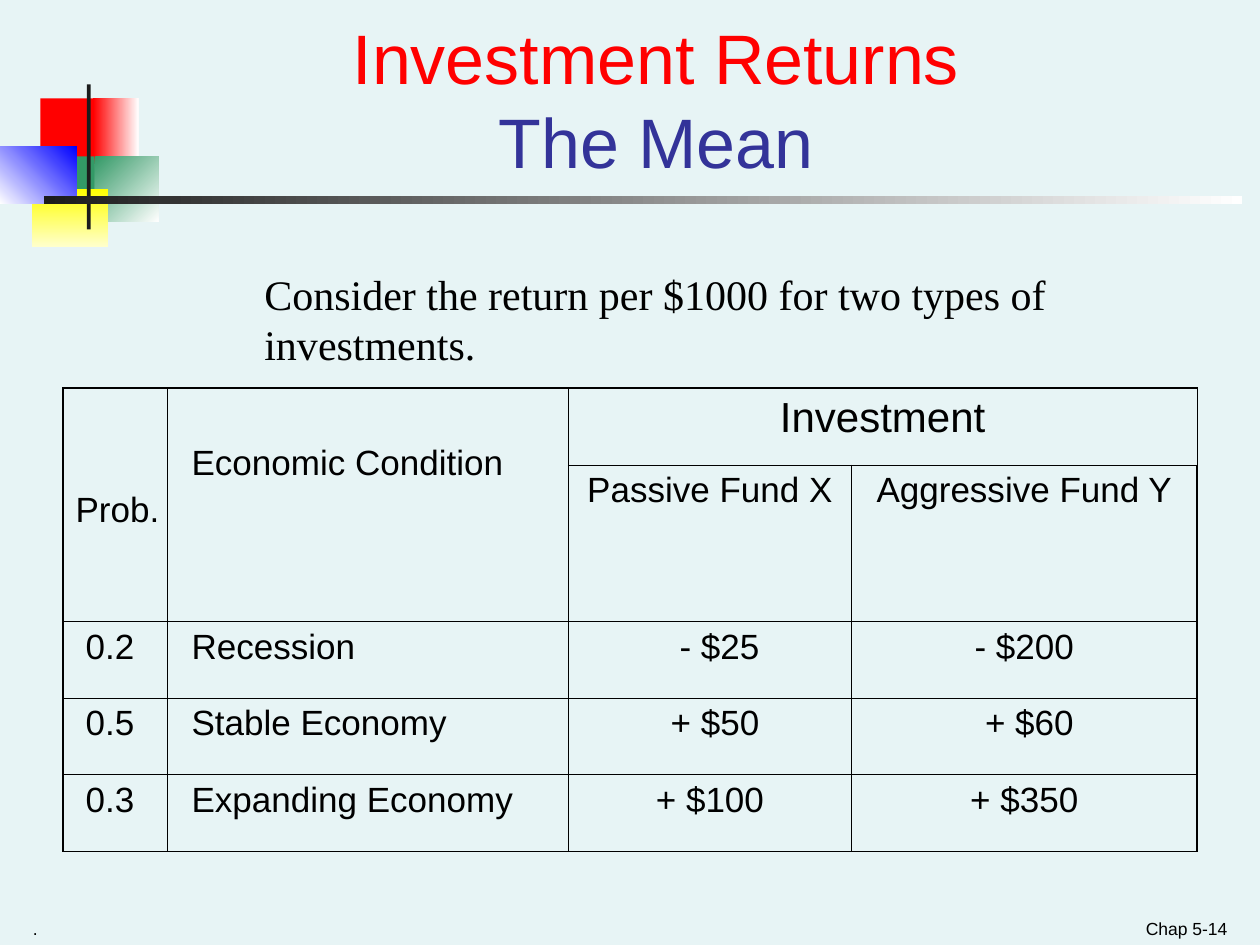
from dataclasses import dataclass
from typing import Optional

import pptx
import pptx.dml.color
import pptx.enum.shapes
import pptx.enum.text
import pptx.oxml
import pptx.oxml.ns
import pptx.util
from lxml import etree

Inches = pptx.util.Inches
Pt = pptx.util.Pt
Align = pptx.enum.text.PP_ALIGN
Anchor = pptx.enum.text.MSO_ANCHOR

COLORS = {
    "background": "E7F4F5",
    "text": "000000",
    "red": "FF0000",
    "green": "339966",
    "yellow": "FFFF00",
    "cream": "FFFFCC",
    "blue": "0000FF",
    "white": "FFFFFF",
    "charcoal": "1C1C1C",
    "indigo": "333399",
}
INNER_BORDER, OUTER_BORDER = 0.45, 1.08
CONDITION_INDENT = 0.92
PROBABILITY_INDENT = 0.08


@dataclass
class Block:
    left: float
    top: float
    width: float
    height: float
    start: str
    end: Optional[str] = None
    angle: int = 0


@dataclass
class Line:
    text: str
    size: float
    color: str = "text"
    font: str = "Arial"


@dataclass
class Outcome:
    probability: str
    condition: str
    passive: str
    aggressive: str
    passive_shift: float = 0
    aggressive_shift: float = 0


BLOCKS = [
    Block(0.32, 0.78, 0.48, 0.52, "red"),
    Block(0.74, 0.78, 0.36, 0.52, "red", "white"),
    Block(0.75, 1.24, 0.51, 0.52, "green", "white", 45),
    Block(0.43, 1.24, 0.32, 0.52, "green"),
    Block(0.25, 1.5, 0.61, 0.46, "yellow", "cream", 90),
    Block(0, 1.16, 0.61, 0.46, "white", "blue", 315),
    Block(0.69, 0.67, 0.03, 1.15, "charcoal"),
    Block(0.35, 1.56, 9.51, 0.06, "charcoal", "white"),
]
OUTCOMES = [
    Outcome("0.2", "Recession", "- $25", "- $200", 0.15),
    Outcome("0.5", "Stable Economy", "+ $50", "+ $60", 0.08, 0.08),
    Outcome("0.3", "Expanding Economy", "+ $100", "+ $350"),
]


def rgb(name: str) -> pptx.dml.color.RGBColor:
    return pptx.dml.color.RGBColor.from_string(COLORS[name])


def draw_block(slide, block: Block) -> None:
    shape = slide.shapes.add_shape(
        pptx.enum.shapes.MSO_SHAPE.RECTANGLE,
        Inches(block.left), Inches(block.top), Inches(block.width), Inches(block.height))
    shape.shadow.inherit = False
    shape.line.fill.background()
    if block.end is None:
        shape.fill.solid()
        shape.fill.fore_color.rgb = rgb(block.start)
        return
    shape.fill.gradient()
    shape.fill.gradient_angle = (360 - block.angle) % 360
    for stop, color in zip(shape.fill.gradient_stops, (block.start, block.end)):
        stop.color.rgb = rgb(color)


def style_run(run, line: Line) -> None:
    run.font.name = line.font
    run.font.size = Pt(line.size)
    run.font.color.rgb = rgb(line.color)


def draw_text(slide, left: float, top: float, width: float, height: float,
              lines: list[Line], align=Align.LEFT, anchor=Anchor.BOTTOM,
              inset: float = 0.09) -> None:
    frame = slide.shapes.add_textbox(
        Inches(left), Inches(top), Inches(width), Inches(height)).text_frame
    frame.word_wrap = True
    frame.vertical_anchor = anchor
    frame.margin_left = frame.margin_right = Inches(inset)
    frame.margin_top = frame.margin_bottom = Inches(0.05)
    paragraph = frame.paragraphs[0]
    paragraph.text = "\v".join(line.text for line in lines)
    paragraph.alignment = align
    for run, line in zip(paragraph.runs, lines):
        style_run(run, line)


def set_borders(cell, widths: dict[str, float]) -> None:
    properties = cell._tc.get_or_add_tcPr()
    for side, width in widths.items():
        border = etree.SubElement(
            properties, pptx.oxml.ns.qn(f"a:ln{side}"), w=str(Pt(width)))
        fill = etree.SubElement(border, pptx.oxml.ns.qn("a:solidFill"))
        etree.SubElement(fill, pptx.oxml.ns.qn("a:srgbClr"), val=COLORS["text"])


def set_tabs(paragraph, stops: list[float]) -> None:
    tabs = etree.SubElement(
        paragraph._p.get_or_add_pPr(), pptx.oxml.ns.qn("a:tabLst"))
    for stop in stops:
        etree.SubElement(
            tabs, pptx.oxml.ns.qn("a:tab"), pos=str(Inches(stop)), algn="l")


def fill_cell(cell, text: str, align=Align.CENTER, size: float = 20,
              shift: float = 0, top: float = 0.05) -> None:
    cell.margin_left, cell.margin_right = Inches(0.1 + shift), Inches(0.1)
    cell.margin_top, cell.margin_bottom = Inches(top), Inches(0.05)
    cell.text_frame.text = text
    for index, paragraph in enumerate(cell.text_frame.paragraphs):
        paragraph.alignment = align
        paragraph.space_before = Pt(5 if index else 0)
        for run in paragraph.runs:
            style_run(run, Line(run.text, size))


def draw_returns_table(slide) -> None:
    widths = [4.01, 2.25, 2.74]
    heights = [0.61, 1.24] + [0.61] * len(OUTCOMES)
    table = slide.shapes.add_table(
        len(heights), len(widths), Inches(0.5), Inches(3.08),
        Inches(sum(widths)), Inches(sum(heights))).table
    table.first_row = table.horz_banding = False
    for column, width in zip(table.columns, widths):
        column.width = Inches(width)
    for row, height in zip(table.rows, heights):
        row.height = Inches(height)

    last_row, last_column = len(heights) - 1, len(widths) - 1
    for r in range(len(heights)):
        for c in range(len(widths)):
            cell = table.cell(r, c)
            on_edge = {"L": c == 0, "R": c == last_column, "T": r == 0, "B": r == last_row}
            set_borders(cell, {side: OUTER_BORDER if edge else INNER_BORDER
                               for side, edge in on_edge.items()})
            cell.fill.background()

    table.cell(0, 0).merge(table.cell(1, 0))
    table.cell(0, 1).merge(table.cell(0, 2))
    fill_cell(table.cell(0, 0), "\tEconomic Condition\nProb.", Align.LEFT, top=0.44)
    set_tabs(table.cell(0, 0).text_frame.paragraphs[0], [CONDITION_INDENT])
    fill_cell(table.cell(0, 1), "Investment", size=24)
    fill_cell(table.cell(1, 1), "Passive Fund X")
    fill_cell(table.cell(1, 2), "Aggressive Fund Y")

    for r, outcome in enumerate(OUTCOMES, start=2):
        label = table.cell(r, 0)
        fill_cell(label, f"\t{outcome.probability}\t{outcome.condition}", Align.LEFT)
        set_tabs(label.text_frame.paragraphs[0], [PROBABILITY_INDENT, CONDITION_INDENT])
        fill_cell(table.cell(r, 1), outcome.passive, shift=outcome.passive_shift)
        fill_cell(table.cell(r, 2), outcome.aggressive, shift=outcome.aggressive_shift)


def draw_probability_divider(slide) -> None:
    divider = slide.shapes.add_connector(
        pptx.enum.shapes.MSO_CONNECTOR.STRAIGHT,
        Inches(1.33), Inches(3.08), Inches(1.33), Inches(6.75))
    divider.line.color.rgb = rgb("text")
    divider.line.width = Pt(0.75)
    etree.SubElement(divider._element.spPr, pptx.oxml.ns.qn("a:effectLst"))


def main() -> None:
    presentation = pptx.Presentation()
    presentation.slide_width, presentation.slide_height = Inches(10), Inches(7.5)
    slide = presentation.slides.add_slide(presentation.slide_layouts[6])
    slide.background.fill.solid()
    slide.background.fill.fore_color.rgb = rgb("background")

    for block in BLOCKS:
        draw_block(slide, block)
    draw_text(slide, 0.17, 7.15, 6.08, 0.35, [Line(".", 10)])
    draw_text(slide, 7.5, 7.15, 2.33, 0.35, [Line("Chap 5-14", 10)], Align.RIGHT)
    draw_text(slide, 1.17, 0.42, 8.07, 1.08,
              [Line("Investment Returns", 40, "red"), Line("The Mean", 40, "indigo")],
              Align.CENTER)
    draw_text(slide, 2, 2.08, 7, 0.9,
              [Line("Consider the return per $1000 for two types of investments.",
                    24, font="Times New Roman")],
              anchor=Anchor.TOP, inset=0.1)
    draw_returns_table(slide)
    draw_probability_divider(slide)
    presentation.save("out.pptx")


if __name__ == "__main__":
    main()
